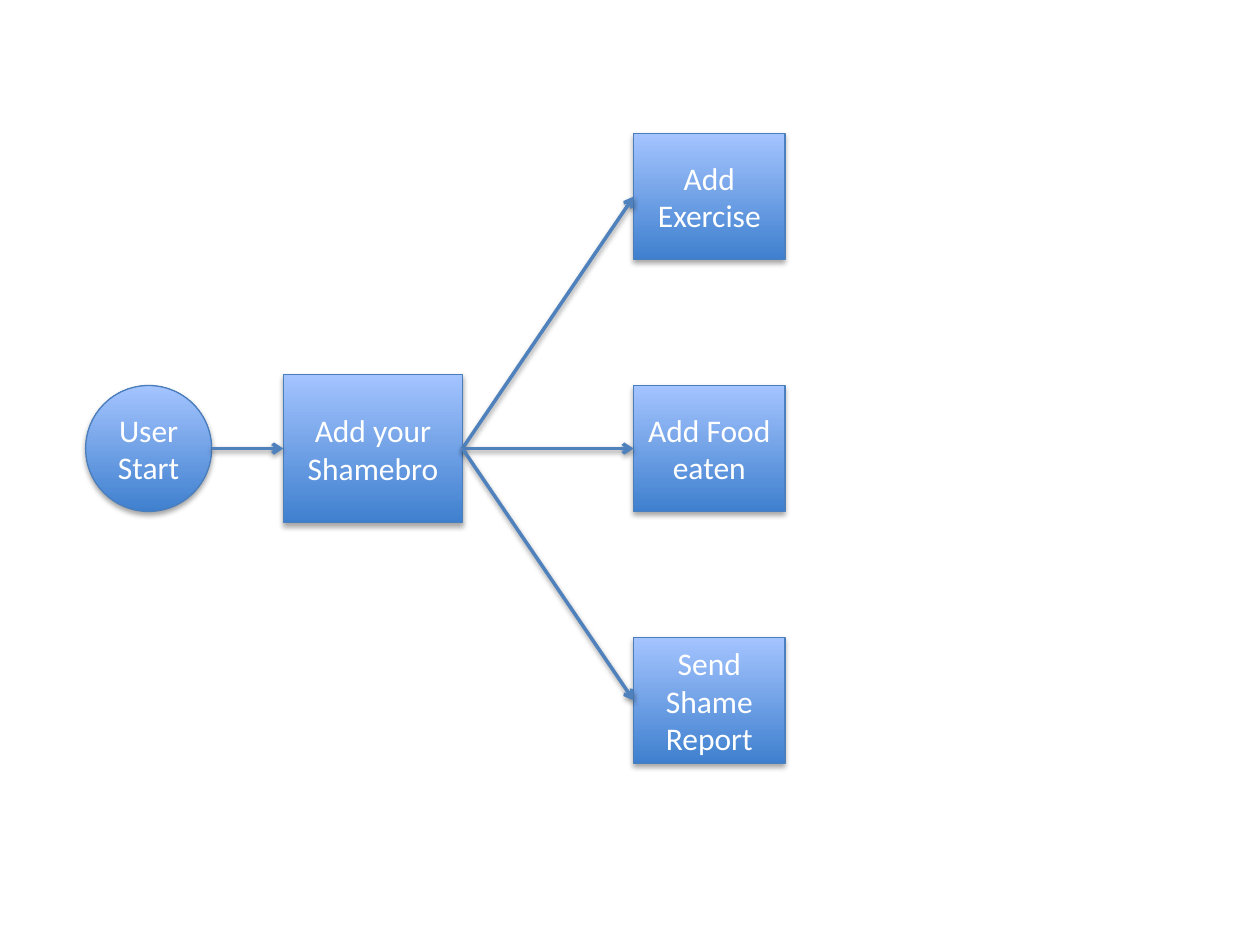
from lxml import etree
from pptx import Presentation
from pptx.dml.color import RGBColor
from pptx.enum.shapes import MSO_CONNECTOR, MSO_SHAPE
from pptx.enum.text import MSO_ANCHOR, PP_ALIGN
from pptx.oxml.ns import qn
from pptx.util import Inches, Pt

OVAL, RECT = MSO_SHAPE.OVAL, MSO_SHAPE.RECTANGLE
STRAIGHT = MSO_CONNECTOR.STRAIGHT
MIDDLE, CENTER = MSO_ANCHOR.MIDDLE, PP_ALIGN.CENTER

# Content: key, text, shape, column, row, size
NODES = [
    ("start", "User Start", OVAL, 0, 1, (1, 1)),
    ("add", "Add your Shamebro", RECT, 1, 1, (1.42, 1.18)),
    ("move", "Add Exercise", RECT, 2, 0, (1.2, 1)),
    ("food", "Add Food eaten", RECT, 2, 1, (1.2, 1)),
    ("send", "Send Shame Report", RECT, 2, 2, (1.2, 1)),
]
LINKS = [("start", "add"), ("add", "move"), ("add", "food"), ("add", "send")]

# Grid: left edge of each column, centre line of each row
COLS = [0.68, 2.25, 5.03]
TOP, STEP = 1.56, 2.0


def rgb(code):
    return RGBColor.from_string(code)


def shade(part, alpha, dist):
    """Soft shadow falling straight down."""
    props = part._element.spPr
    effects = etree.SubElement(props, qn("a:effectLst"))
    shadow = etree.SubElement(
        effects, qn("a:outerShdw"), blurRad=str(Pt(3.1)), dist=str(Pt(dist)),
        dir="5400000", rotWithShape="0")
    tint = etree.SubElement(shadow, qn("a:srgbClr"), val="000000")
    etree.SubElement(tint, qn("a:alpha"), val=str(alpha * 1000))


def add_node(slide, text, kind, col, row, size):
    wide, high = size
    mid = TOP + row * STEP
    node = slide.shapes.add_shape(
        kind, Inches(COLS[col]), Inches(mid - high / 2),
        Inches(wide), Inches(high))
    node.fill.gradient()
    node.fill.gradient_angle = 90
    stops = zip(node.fill.gradient_stops, ("3F80CE", "A4C4FF"), (0, 1))
    for stop, code, place in stops:
        stop.color.rgb = rgb(code)
        stop.position = place
    node.line.color.rgb = rgb("4B7EBC")
    node.line.width = Pt(0.75)
    shade(node, 35, 1.8)
    frame = node.text_frame
    frame.word_wrap = True
    frame.vertical_anchor = MIDDLE
    para = frame.paragraphs[0]
    para.alignment = CENTER
    run = para.add_run()
    run.text = text
    run.font.name = "Calibri"
    run.font.size = Pt(18)
    run.font.color.rgb = rgb("FFFFFF")
    return node


def add_link(slide, tail, head):
    """Arrow from the right side of one step to the left side of the next."""
    link = slide.shapes.add_connector(
        STRAIGHT, tail.left + tail.width, tail.top + tail.height // 2,
        head.left, head.top + head.height // 2)
    link.line.color.rgb = rgb("4F81BD")
    link.line.width = Pt(2)
    line = link._element.spPr.find(qn("a:ln"))
    etree.SubElement(line, qn("a:tailEnd"), type="arrow")
    shade(link, 38, 1.6)


# Slide
deck = Presentation()
deck.slide_width, deck.slide_height = Inches(10), Inches(7.5)
slide = deck.slides.add_slide(deck.slide_layouts[6])

# Steps, then the arrows between them
nodes = {key: add_node(slide, *rest) for key, *rest in NODES}
for tail, head in LINKS:
    add_link(slide, nodes[tail], nodes[head])

deck.save("out.pptx")
